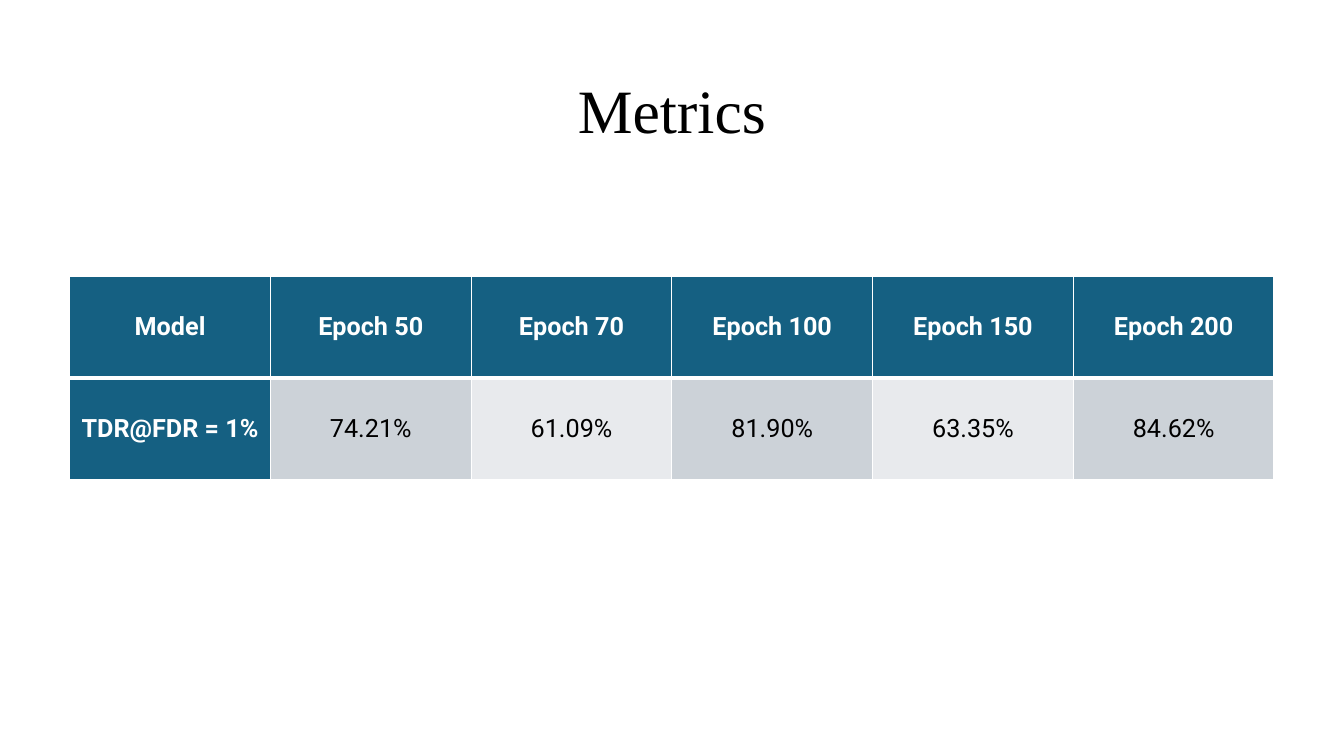
from lxml import etree
from pptx import Presentation
from pptx import util as u
from pptx.dml import color
from pptx.enum import text
from pptx.oxml import ns


class MetricsSlide:
    """Hold the deck style and draw the title and results table."""

    colors = {"header": "156082", "odd": "CCD2D8", "even": "E8EAED",
              "ink": "000000", "paper": "FFFFFF"}
    title_format = {"name": "Times New Roman", "size": u.Pt(44)}
    header_format = {"name": "Roboto", "size": u.Pt(18), "bold": True}
    value_format = {**header_format, "bold": False}

    def __init__(self, deck):
        self.slide = deck.slides.add_slide(deck.slide_layouts[6])

    def rgb(self, role):
        return color.RGBColor.from_string(self.colors[role])

    def label(self, paragraph, wording, font_format, role):
        paragraph.text = wording
        paragraph.alignment = text.PP_ALIGN.CENTER
        for attribute, value in font_format.items():
            setattr(paragraph.font, attribute, value)
        paragraph.font.color.rgb = self.rgb(role)

    def title(self, wording, left, top, width, height):
        heading = self.slide.shapes.add_textbox(
            *map(u.Pt, (left, top, width, height))).text_frame
        heading.word_wrap = True
        heading.vertical_anchor = text.MSO_ANCHOR.MIDDLE
        self.label(heading.paragraphs[0], wording, self.title_format, "ink")
        heading.paragraphs[0].line_spacing = 0.9

    def borders(self, cell, widths):
        properties = cell._tc.get_or_add_tcPr()
        for position, (side, width) in enumerate(widths.items()):
            line = etree.Element(ns.qn(f"a:ln{side}"), w=str(u.Pt(width)))
            fill = etree.SubElement(line, ns.qn("a:solidFill"))
            etree.SubElement(fill, ns.qn("a:srgbClr"), val=self.colors["paper"])
            properties.insert(position, line)

    def table(self, rows, left, top, column_width, row_height):
        size = column_width * len(rows[0]), row_height * len(rows)
        results = self.slide.shapes.add_table(
            len(rows), len(rows[0]), *map(u.Pt, (left, top, *size))).table
        for column in results.columns:
            column.width = u.Pt(column_width)
        for r, row in enumerate(rows):
            results.rows[r].height = u.Pt(row_height)
            for c, wording in enumerate(row):
                cell = results.cell(r, c)
                is_header = r == 0 or c == 0
                band = "odd" if c % 2 else "even"
                cell.fill.solid()
                cell.fill.fore_color.rgb = self.rgb("header" if is_header else band)
                cell.vertical_anchor = text.MSO_ANCHOR.MIDDLE
                self.label(cell.text_frame.paragraphs[0], wording,
                           self.header_format if is_header else self.value_format,
                           "paper" if is_header else "ink")
                self.borders(cell, {"L": 1, "R": 1, "T": 3 if r == 1 else 1,
                                    "B": 3 if r == 0 else 1})


def main():
    deck = Presentation()
    deck.slide_width, deck.slide_height = u.Pt(960), u.Pt(540)
    metrics = MetricsSlide(deck)
    metrics.title("Metrics", 66, 28.75, 828, 104.4)
    metrics.table([
        ["Model", "Epoch 50", "Epoch 70", "Epoch 100", "Epoch 150", "Epoch 200"],
        ["TDR@FDR = 1%", "74.21%", "61.09%", "81.90%", "63.35%", "84.62%"],
    ], 49.8, 197.3, 143.4, 72.7)
    deck.save("out.pptx")


if __name__ == "__main__":
    main()
